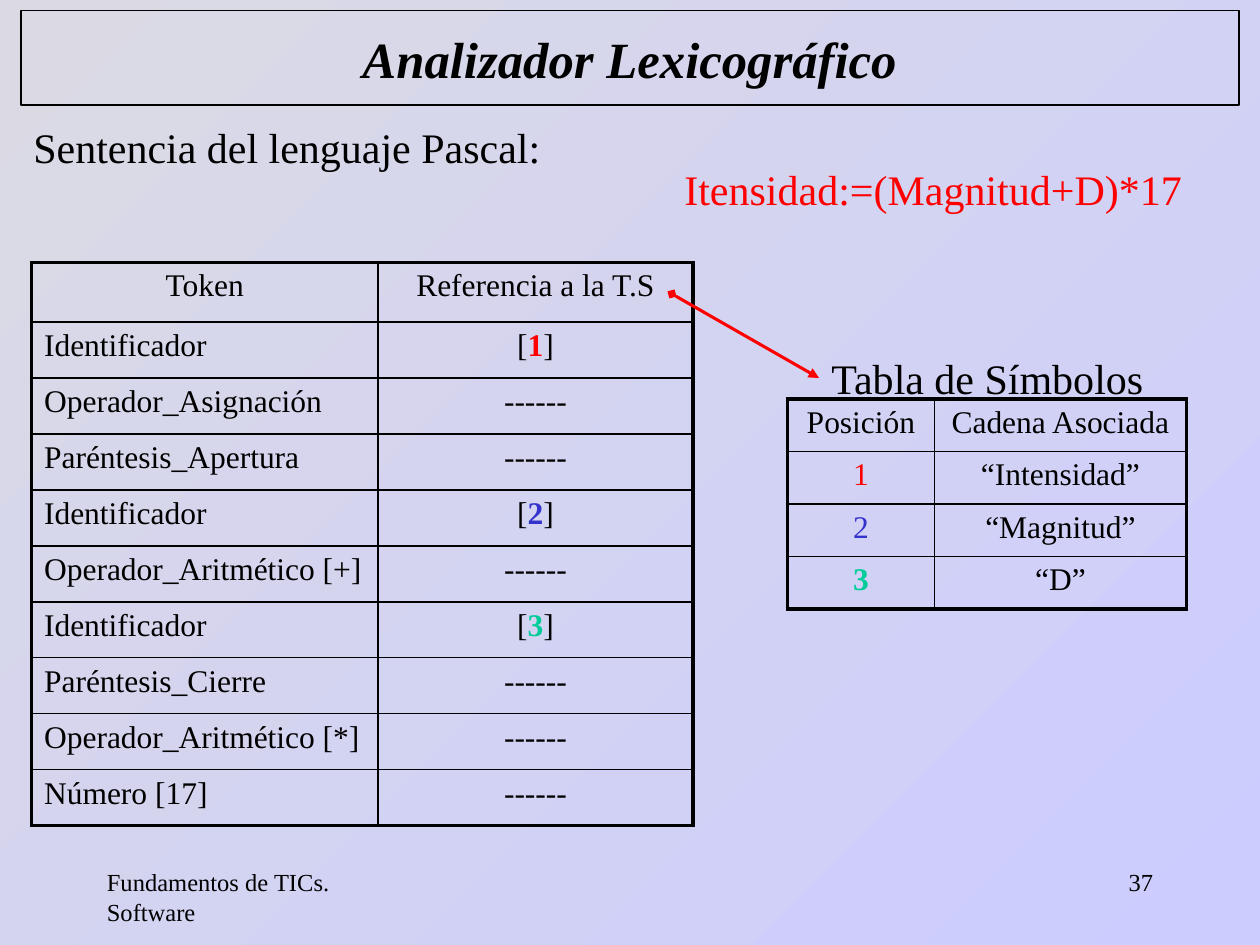
from lxml.etree import SubElement
from pptx import Presentation
from pptx.dml.color import RGBColor
from pptx.enum.shapes import MSO_CONNECTOR
from pptx.enum.text import MSO_ANCHOR, PP_ALIGN as Align
from pptx.oxml import parse_xml
from pptx.oxml.ns import nsdecls, qn
from pptx.util import Pt

BLACK, RED, BLUE, GREEN = "000000", "FF0000", "3333CC", "00CC99"
THIN, THICK = 1, 2.25


def rgb(hex_color):
    return RGBColor.from_string(hex_color)


def write(paragraph, pieces, size, align=Align.LEFT):
    """Add (text, colour, bold) pieces to the paragraph as formatted runs."""
    paragraph.alignment = align
    for text, color, bold in pieces:
        run = paragraph.add_run()
        run.text = text
        run.font.name = "Times New Roman"
        run.font.size = Pt(size)
        run.font.bold = bold
        run.font.color.rgb = rgb(color)


prs = Presentation()
prs.slide_width, prs.slide_height = Pt(720), Pt(540)
slide = prs.slides.add_slide(prs.slide_layouts[5])

background = slide.background.fill
background.gradient()
background.gradient_angle = 315
for stop, color, position in zip(background.gradient_stops, ("DBDAE4", "CCCCFF"), (0, 1)):
    stop.color.rgb = rgb(color)
    stop.position = position

# Title
title = slide.shapes.title
title.left, title.top, title.width, title.height = Pt(12), Pt(6), Pt(696), Pt(54)
title.line.color.rgb = rgb(BLACK)
title.line.width = Pt(0.75)
title.text_frame.vertical_anchor = MSO_ANCHOR.MIDDLE
heading = title.text_frame.paragraphs[0]
write(heading, [("Analizador Lexicográfico", BLACK, True)], 29, Align.CENTER)
heading.runs[0].font.italic = True

# Tables: column widths, row heights and rows of (pieces, alignment)
no_reference = [("------", BLACK, False)]
references = {
    number: [("[", BLACK, False), (number, color, True), ("]", BLACK, False)]
    for number, color in (("1", RED), ("2", BLUE), ("3", GREEN))
}
tokens = [
    ("Identificador", "1"),
    ("Operador_Asignación", None),
    ("Paréntesis_Apertura", None),
    ("Identificador", "2"),
    ("Operador_Aritmético [+]", None),
    ("Identificador", "3"),
    ("Paréntesis_Cierre", None),
    ("Operador_Aritmético [*]", None),
    ("Número [17]", None),
]
symbols = [
    ("1", RED, False, "“Intensidad”"),
    ("2", BLUE, False, "“Magnitud”"),
    ("3", GREEN, True, "“D”"),
]
token_rows = [[([("Token", BLACK, False)], Align.CENTER),
               ([("Referencia a la T.S", BLACK, False)], Align.CENTER)]]
for token, number in tokens:
    token_rows.append([([(token, BLACK, False)], Align.LEFT),
                       (references.get(number, no_reference), Align.CENTER)])
symbol_rows = [[([("Posición", BLACK, False)], Align.CENTER),
                ([("Cadena Asociada", BLACK, False)], Align.CENTER)]]
for number, color, bold, string in symbols:
    symbol_rows.append([([(number, color, bold)], Align.CENTER),
                        ([(string, BLACK, False)], Align.CENTER)])

for left, top, widths, heights, rows in (
    (18, 150, (198, 180), [34] + [32] * 9, token_rows),
    (450, 228, (84, 144), [30] * 4, symbol_rows),
):
    table = slide.shapes.add_table(len(rows), len(widths), Pt(left), Pt(top),
                                   Pt(sum(widths)), Pt(sum(heights))).table
    table.first_row = table.horz_banding = False
    for column, width in zip(table.columns, widths):
        column.width = Pt(width)
    for r, (row, height) in enumerate(zip(rows, heights)):
        table.rows[r].height = Pt(height)
        for c, (pieces, align) in enumerate(row):
            cell = table.cell(r, c)
            cell.fill.background()
            write(cell.text_frame.paragraphs[0], pieces, 18, align)
            outer_edges = (("lnL", c == 0), ("lnR", c == len(widths) - 1),
                           ("lnT", r == 0), ("lnB", r == len(rows) - 1))
            for order, (edge, is_outer) in enumerate(outer_edges):
                border = parse_xml(
                    f'<a:{edge} {nsdecls("a")} w="{Pt(THICK if is_outer else THIN)}">'
                    f'<a:solidFill><a:srgbClr val="{BLACK}"/></a:solidFill></a:{edge}>')
                cell._tc.get_or_add_tcPr().insert(order, border)

# Free text and footer
for text, left, top, width, size, color, wrap, align in (
    ("Sentencia del lenguaje Pascal:", 12, 66, 696, 24, BLACK, True, Align.LEFT),
    ("Itensidad:=(Magnitud+D)*17", 384, 90, 299, 24, RED, False, Align.LEFT),
    ("Tabla de Símbolos", 468, 198, 198, 24, BLACK, True, Align.LEFT),
    ("Fundamentos de TICs. Software", 54, 492, 150, 14, BLACK, True, Align.LEFT),
    ("37", 516, 492, 150, 14, BLACK, True, Align.RIGHT),
):
    frame = slide.shapes.add_textbox(Pt(left), Pt(top), Pt(width), Pt(36)).text_frame
    frame.word_wrap = wrap
    write(frame.paragraphs[0], [(text, color, False)], size, align)

# Arrow from the references to the symbol table
arrow = slide.shapes.add_connector(MSO_CONNECTOR.STRAIGHT, Pt(384), Pt(168), Pt(468), Pt(216))
arrow.line.color.rgb = rgb(RED)
arrow.line.width = Pt(1.75)
line = arrow.line._get_or_add_ln()
SubElement(line, qn("a:headEnd"), type="diamond")
SubElement(line, qn("a:tailEnd"), type="triangle")
SubElement(arrow._element.spPr, qn("a:effectLst"))

prs.save("out.pptx")
